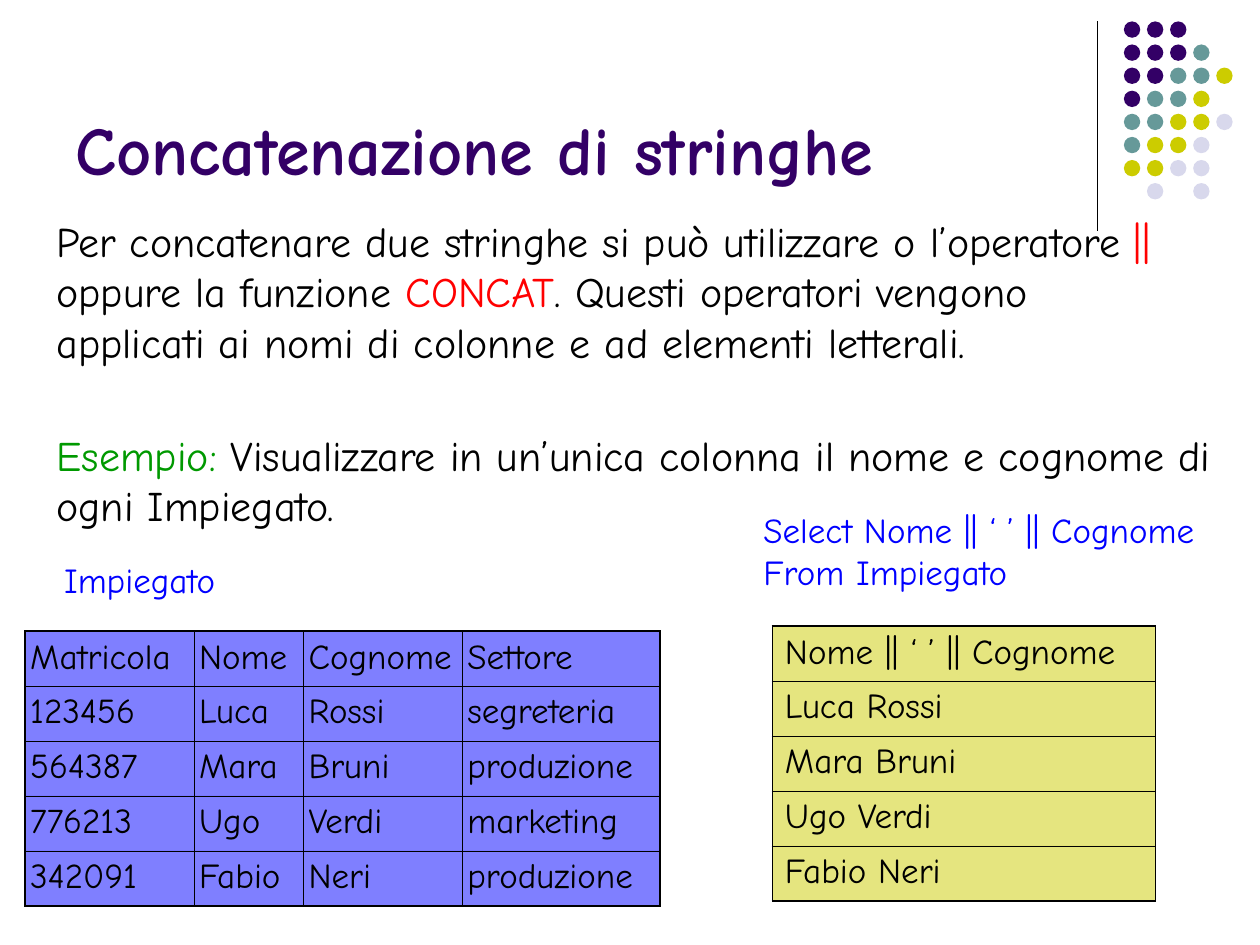
from lxml import etree
from pptx import Presentation
from pptx import util as u
from pptx.dml.color import RGBColor
from pptx.enum import shapes, text
from pptx.oxml.ns import qn

BLACK, PURPLE, TEAL, OLIVE, LILAC = "000000", "330066", "669999", "CCCC00", "D8D8EC"
RED, GREEN, BLUE = "FF0000", "009900", "0000FF"


def rgb(color):
    return RGBColor.from_string(color)


class SlideBuilder:
    font = "Comic Neue"
    thin, thick = 0.45, 1.08

    def __init__(self, slide):
        self.slide = slide

    def style(self, font, size, color, bold=False):
        font.name, font.size, font.bold = self.font, u.Pt(size), bold
        font.color.rgb = rgb(color)

    def line(self, x1, y1, x2, y2):
        line = self.slide.shapes.add_connector(
            shapes.MSO_CONNECTOR.STRAIGHT, *map(u.Inches, (x1, y1, x2, y2)))
        line.line.color.rgb = rgb(BLACK)
        line.line.width = u.Pt(0.75)
        etree.SubElement(line._element.spPr, qn("a:effectLst"))

    def dot(self, left, top, size, color):
        dot = self.slide.shapes.add_shape(
            shapes.MSO_SHAPE.OVAL, *map(u.Inches, (left, top, size, size)))
        dot.shadow.inherit = False
        dot.fill.solid()
        dot.fill.fore_color.rgb = rgb(color)
        dot.line.fill.background()

    def text(self, box, paragraphs, size, color, bold=False, wrap=True,
             anchor=text.MSO_ANCHOR.TOP, autofit=text.MSO_AUTO_SIZE.SHAPE_TO_FIT_TEXT):
        """Each paragraph is a list of (words, colour or None for the base colour)."""
        frame = self.slide.shapes.add_textbox(*map(u.Inches, box)).text_frame
        frame.word_wrap = wrap
        frame.auto_size = autofit
        frame.vertical_anchor = anchor
        for index, runs in enumerate(paragraphs):
            paragraph = frame.paragraphs[0] if index == 0 else frame.add_paragraph()
            self.style(paragraph.font, size, color, bold)
            for words, accent in runs:
                run = paragraph.add_run()
                run.text = words
                if accent:
                    run.font.color.rgb = rgb(accent)

    def borders(self, cell, widths):
        properties = cell._tc.get_or_add_tcPr()
        for index, (side, width) in enumerate(zip("LRTB", widths)):
            border = etree.Element(qn(f"a:ln{side}"), w=str(u.Pt(width)))
            fill = etree.SubElement(border, qn("a:solidFill"))
            etree.SubElement(fill, qn("a:srgbClr"), val=BLACK)
            properties.insert(index, border)

    def table(self, left, top, height, columns, rows, color, margin):
        table = self.slide.shapes.add_table(
            len(rows), len(columns),
            *map(u.Inches, (left, top, sum(columns), height))).table
        table.first_row = table.horz_banding = False
        for column, width in zip(table.columns, columns):
            column.width = u.Inches(width)
        last_row, last_column = len(rows) - 1, len(columns) - 1
        for r, values in enumerate(rows):
            for c, value in enumerate(values):
                cell = table.cell(r, c)
                cell.margin_left = cell.margin_right = u.Inches(margin)
                cell.text = value
                self.style(cell.text_frame.paragraphs[0].font, 20, BLACK)
                cell.fill.solid()
                cell.fill.fore_color.rgb = rgb(color)
                tint = cell._tc.tcPr.find(".//" + qn("a:srgbClr"))
                etree.SubElement(tint, qn("a:alpha"), val="50000")
                outer = (c == 0, c == last_column, r == 0, r == last_row)
                self.borders(cell, [self.thick if edge else self.thin for edge in outer])


def main():
    presentation = Presentation()
    presentation.slide_width, presentation.slide_height = u.Inches(10), u.Inches(7.5)
    builder = SlideBuilder(presentation.slides.add_slide(presentation.slide_layouts[6]))

    # Corner decoration: one letter per dot colour
    builder.line(8.71, 0.17, 8.71, 1.83)
    dot_colors = {"P": PURPLE, "T": TEAL, "O": OLIVE, "L": LILAC}
    dot_rows = ["PPP", "PPPT", "PPTTO", "PTTO", "TTOOL", "TOOL", "OOLL", " L L"]
    pitch = 0.18 + 0.01 / 3
    for row, letters in enumerate(dot_rows):
        for column, letter in enumerate(letters):
            if letter in dot_colors:
                builder.dot(8.92 + column * pitch, 0.17 + row * pitch, 0.13,
                            dot_colors[letter])

    # Title
    builder.text((0.5, 0.13, 8.25, 1.42), [[("Concatenazione di stringhe", None)]],
                 39, PURPLE, bold=True, anchor=text.MSO_ANCHOR.BOTTOM,
                 autofit=text.MSO_AUTO_SIZE.NONE)

    # Explanation and example
    builder.text((0.35, 1.66, 9, 1.3), [[
        ("Per concatenare due stringhe si può utilizzare o l’operatore ", None),
        ("||", RED),
        (" oppure la funzione ", None),
        ("CONCAT", RED),
        (". Questi operatori vengono applicati ai nomi di colonne e ad elementi letterali.",
         None)]], 24, BLACK)
    builder.text((0.35, 3.36, 9.39, 0.9), [[
        ("Esempio:", GREEN),
        (" Visualizzare in un’unica colonna il nome e cognome di ogni Impiegato.", None)]],
        24, BLACK)

    # Table name and query
    builder.text((0.41, 4.38, 1.41, 0.44), [[("Impiegato", None)]], 20, BLUE, wrap=False)
    builder.text((5.96, 3.99, 3.66, 0.77),
                 [[("Select Nome || ‘ ’ || Cognome", None)], [("From Impiegato", None)]],
                 20, BLUE, wrap=False)

    # Source table and query result
    employees = [
        ("Matricola", "Nome", "Cognome", "Settore"),
        ("123456", "Luca", "Rossi", "segreteria"),
        ("564387", "Mara", "Bruni", "produzione"),
        ("776213", "Ugo", "Verdi", "marketing"),
        ("342091", "Fabio", "Neri", "produzione"),
    ]
    result = [("Nome || ‘ ’ || Cognome",)]
    result += [(f"{name} {surname}",) for _, name, surname, _ in employees[1:]]
    builder.table(0.2, 5.01, 2.18, (1.34, 0.87, 1.26, 1.57), employees, BLUE, 0.04)
    builder.table(6.13, 4.97, 2.18, (3.04,), result, OLIVE, 0.1)

    presentation.save("out.pptx")


if __name__ == "__main__":
    main()
